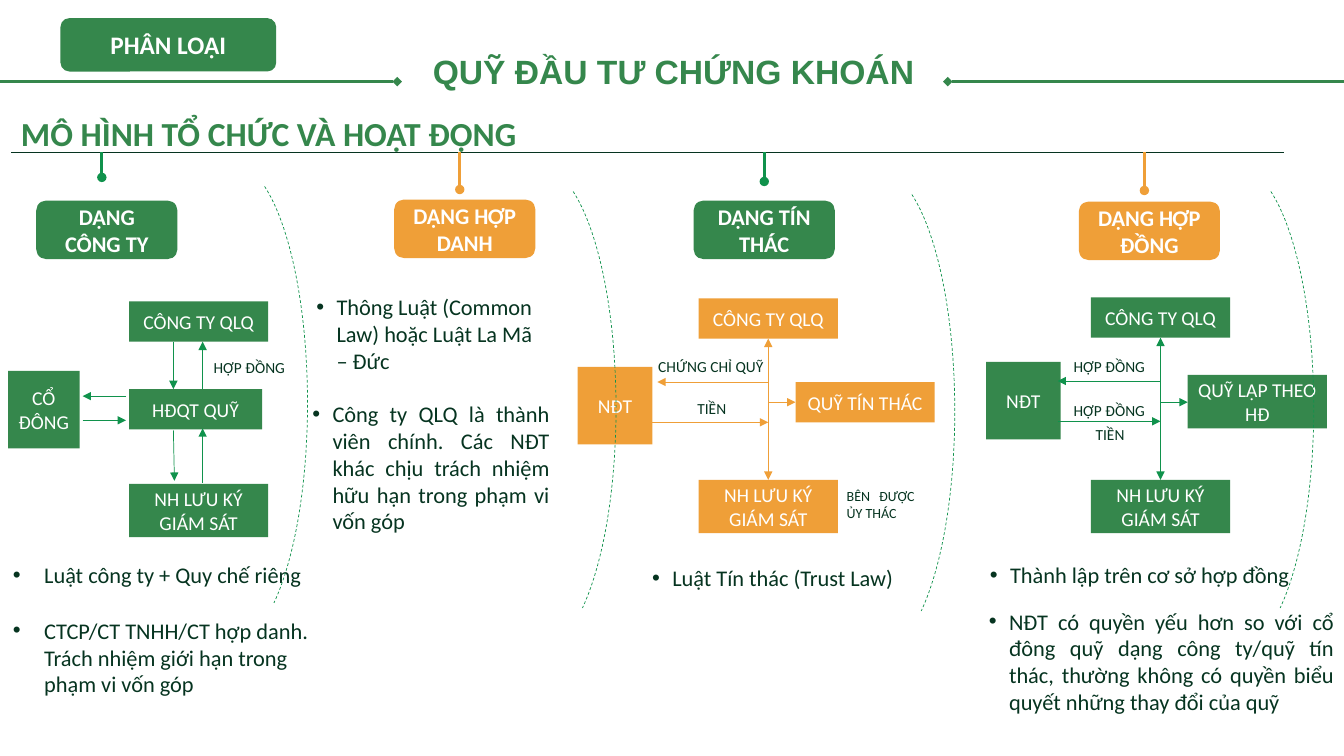
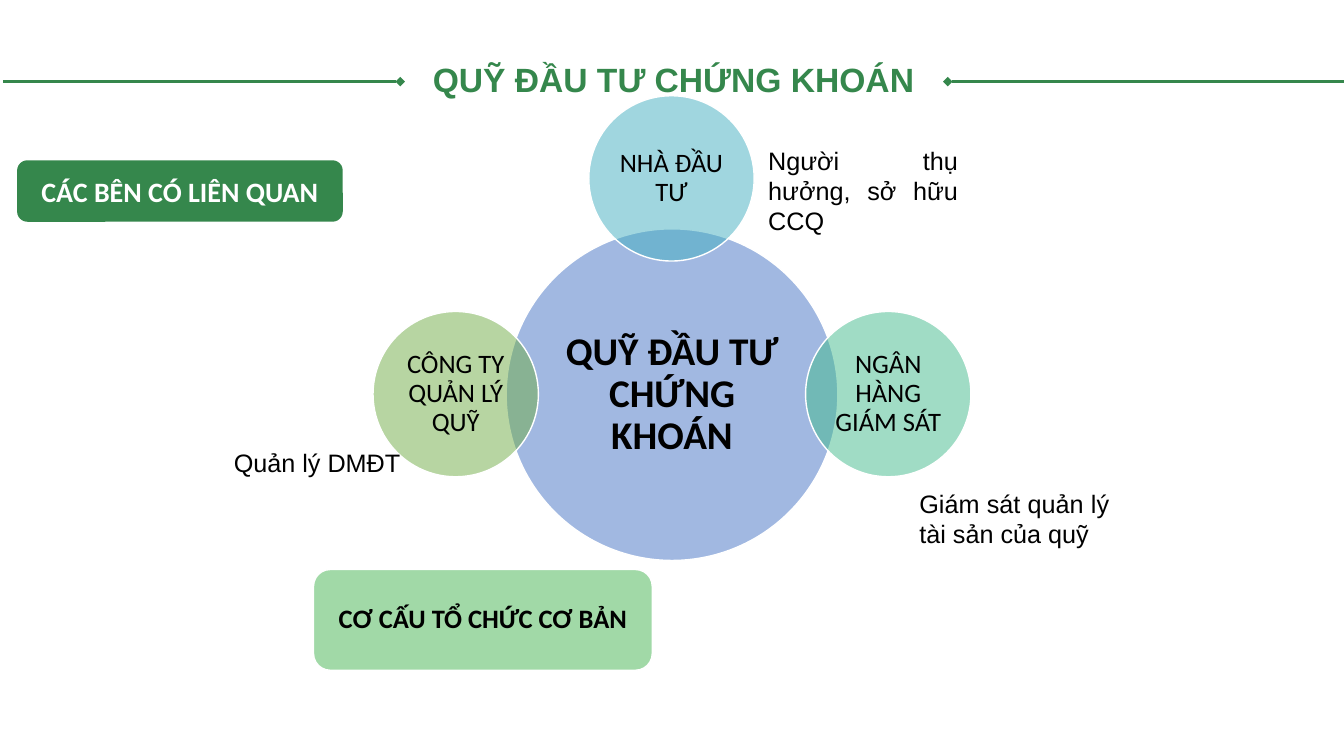
import dataclasses

import lxml.etree
import pptx
import pptx.dml.color
import pptx.enum.dml
import pptx.enum.shapes
import pptx.enum.text
import pptx.oxml.ns
import pptx.util

Inches = pptx.util.Inches
SHAPES = pptx.enum.shapes.MSO_SHAPE
ALIGN = pptx.enum.text.PP_ALIGN
ANCHOR = pptx.enum.text.MSO_ANCHOR
qn = pptx.oxml.ns.qn


@dataclasses.dataclass(frozen=True)
class Theme:
    green: str = "35874C"
    line_green: str = "10924C"
    orange: str = "EF9F38"
    ink: str = "063420"
    black: str = "000000"
    white: str = "FFFFFF"
    blue_circle: str = "4472C4"
    teal_circle: str = "43AFC0"
    mint_circle: str = "43BB8D"
    leaf_circle: str = "70AD47"
    grass_panel: str = "45B451"
    body_font: str = "Calibri"
    title_font: str = "Arial"
    hub: int = 28
    title: int = 24
    banner: int = 20
    circle: int = 19
    note: int = 18
    body: int = 16
    node: int = 14
    label: int = 11
    small: int = 10
    thick: float = 2.25
    thin: float = 0.5


class Deck:
    """Holds the theme, the presentation and the slide being built."""

    def __init__(self, theme):
        self.theme = theme
        self.presentation = pptx.Presentation()
        self.presentation.slide_width = Inches(13.33)
        self.presentation.slide_height = Inches(7.5)
        self.page = None

    def add_page(self, title_top, rule_left):
        theme = self.theme
        self.page = self.presentation.slides.add_slide(self.presentation.slide_layouts[6])
        self.line((9.4, 0.81), (13.33, 0.81), theme.green, theme.thick, head="diamond")
        self.line((rule_left, 0.81), (rule_left + 3.94, 0.81), theme.green, theme.thick, tail="diamond")
        self.text("QUỸ ĐẦU TƯ CHỨNG KHOÁN", (0, title_top, 13.36, 0.36), theme.title, theme.green,
                  bold=True, align=ALIGN.CENTER, font=theme.title_font, inset=0, spacing=0.9)

    def rgb(self, color):
        return pptx.dml.color.RGBColor.from_string(color)

    def fill_text(self, shape, text, size, color, bold=False, align=ALIGN.LEFT, font=None,
                  inset=None, spacing=None, hanging=None):
        frame = shape.text_frame
        frame.word_wrap = True
        if inset is not None:
            frame.margin_left = frame.margin_right = Inches(inset)
            frame.margin_top = frame.margin_bottom = Inches(inset)
        para = frame.paragraphs[0]
        if hanging:
            properties = para._p.get_or_add_pPr()
            properties.set("marL", str(Inches(0.31)))
            properties.set("indent", str(-Inches(hanging)))
            lxml.etree.SubElement(properties, qn("a:buFont"), typeface="Arial")
            lxml.etree.SubElement(properties, qn("a:buChar"), char="•")
        para.alignment = align
        if spacing:
            para.line_spacing = spacing
        span = para.add_run()
        span.text = text
        span.font.name = font or self.theme.body_font
        span.font.size = pptx.util.Pt(size)
        span.font.bold = bold
        span.font.color.rgb = self.rgb(color)

    def text(self, text, place, size, color, **style):
        box = self.page.shapes.add_textbox(*map(Inches, place))
        self.fill_text(box, text, size, color, **style)

    def bullet(self, text, place, hanging=0.2, align=ALIGN.LEFT):
        self.text(text, place, self.theme.body, self.theme.ink, hanging=hanging, align=align)

    def label(self, text, left, top, width=1.46, align=ALIGN.LEFT):
        self.text(text, (left, top, width, 0.29), self.theme.label, self.theme.ink, align=align)

    def shape(self, kind, place):
        shape = self.page.shapes.add_shape(kind, *map(Inches, place))
        shape.shadow.inherit = False
        return shape

    def block(self, text, place, fill, size, kind=SHAPES.RECTANGLE, color=None, **style):
        block = self.shape(kind, place)
        block.fill.solid()
        block.fill.fore_color.rgb = self.rgb(fill)
        block.line.fill.background()
        block.text_frame.vertical_anchor = ANCHOR.MIDDLE
        self.fill_text(block, text, size, color or self.theme.white, align=ALIGN.CENTER, **style)
        return block

    def node(self, text, place, fill):
        self.block(text, place, fill, self.theme.node)

    def badge(self, text, place, fill, size):
        self.block(text, place, fill, size, SHAPES.ROUNDED_RECTANGLE, bold=True)

    def glass(self, text, place, fill, size, kind=SHAPES.OVAL, bold=False):
        panel = self.block(text, place, fill, size, kind, self.theme.black,
                           bold=bold, inset=0.03, spacing=0.9)
        tint = panel.element.spPr.find(qn("a:solidFill")).find(qn("a:srgbClr"))
        lxml.etree.SubElement(tint, qn("a:alpha"), val="50000")
        panel.line.color.rgb = self.rgb(self.theme.white)
        panel.line.width = pptx.util.Pt(1)

    def line(self, start, end, color, width, head=None, tail=None):
        line = self.page.shapes.add_connector(
            pptx.enum.shapes.MSO_CONNECTOR.STRAIGHT, *map(Inches, start + end))
        line.line.color.rgb = self.rgb(color)
        line.line.width = pptx.util.Pt(width)
        properties = line.element.spPr
        outline = properties.find(qn("a:ln"))
        for tag, ending in (("a:headEnd", head), ("a:tailEnd", tail)):
            if ending:
                lxml.etree.SubElement(outline, qn(tag), type=ending)
        lxml.etree.SubElement(properties, qn("a:effectLst"))

    def arrow(self, start, end, color, head=None):
        self.line(start, end, color, self.theme.thin, head, "triangle")

    def arc(self, left, top):
        arc = self.shape(SHAPES.ARC, (left, top, 1.51, 4.78))
        arc.adjustments[0] = 167.227
        arc.adjustments[1] = 46.78
        arc.fill.background()
        arc.line.color.rgb = self.rgb(self.theme.line_green)
        arc.line.width = pptx.util.Pt(self.theme.thin)
        arc.line.dash_style = pptx.enum.dml.MSO_LINE.DASH

    def fund_diagram(self, left, top, investor, tips, fund, fund_box, fill, stroke):
        axis = left + 0.69
        self.node("CÔNG TY QLQ", (left, top, 1.38, 0.4), fill)
        self.node("NH LƯU KÝ GIÁM SÁT", (left, 4.76, 1.38, 0.53), fill)
        self.node("NĐT", investor + (0.74, 0.77), fill)
        self.node(fund, (left + 0.96,) + fund_box, fill)
        self.arrow((axis, top + 0.4), (axis, 4.76), stroke, head="triangle")
        self.arrow((axis, 3.99), (left + 0.96, 3.99), stroke)
        self.arrow((axis, top + 0.83), (tips[0], top + 0.83), stroke)
        self.arrow((tips[1], top + 1.23), (axis, top + 1.23), stroke)


def add_models(deck):
    theme = deck.theme
    deck.add_page(0.55, 0)
    deck.badge("PHÂN LOẠI", (0.6, 0.18, 2.14, 0.53), theme.green, theme.note)
    deck.text("MÔ HÌNH TỔ CHỨC VÀ HOẠT ĐỘNG", (0.11, 1.07, 5.6, 0.5), theme.title, theme.green, bold=True)
    deck.line((0.11, 1.51), (12.74, 1.51), theme.ink, theme.thin)

    for name, left, top, pin, pin_end, fill, stroke in (
        ("DẠNG CÔNG TY", 0.36, 1.99, 1.01, 1.76, theme.green, theme.line_green),
        ("DẠNG HỢP DANH", 3.91, 1.98, 4.56, 1.88, theme.orange, theme.orange),
        ("DẠNG TÍN THÁC", 6.88, 1.99, 7.58, 1.8, theme.green, theme.line_green),
        ("DẠNG HỢP ĐỒNG", 10.7, 2, 11.35, 1.89, theme.orange, theme.orange),
    ):
        deck.line((pin, 1.51), (pin, pin_end), stroke, theme.thick, tail="oval")
        deck.badge(name, (left, top, 1.4, 0.58), fill, theme.body)

    for name, place in (
        ("CÔNG TY QLQ", (1.28, 2.99, 1.38, 0.4)),
        ("HĐQT QUỸ", (1.28, 3.86, 1.32, 0.4)),
        ("NH LƯU KÝ GIÁM SÁT", (1.28, 4.8, 1.38, 0.53)),
        ("CỔ ĐÔNG", (0.08, 3.68, 0.71, 0.77)),
    ):
        deck.node(name, place, theme.green)
    for start, end in (
        ((1.72, 3.39), (1.72, 3.86)),
        ((1.72, 4.27), (1.73, 4.77)),
        ((2.01, 3.86), (2.01, 3.39)),
        ((2.01, 4.79), (2.01, 4.25)),
        ((1.25, 3.93), (0.82, 3.93)),
        ((0.82, 4.17), (1.25, 4.17)),
    ):
        deck.arrow(start, end, theme.line_green)
    deck.label("HỢP ĐỒNG", 2.02, 3.5, 1.11)

    deck.fund_diagram(6.93, 2.96, (5.73, 3.64), (6.52, 6.47), "QUỸ TÍN THÁC",
                      (3.79, 1.38, 0.4), theme.orange, theme.orange)
    deck.fund_diagram(10.82, 2.95, (9.78, 3.59), (10.49, 10.49), "QUỸ LẬP THEO HĐ",
                      (3.72, 1.38, 0.53), theme.green, theme.line_green)
    deck.label("CHỨNG CHỈ QUỸ", 6.43, 3.49)
    deck.label("TIỀN", 6.33, 3.91, align=ALIGN.CENTER)
    for top in (3.49, 3.93):
        deck.label("HỢP ĐỒNG", 10.55, top)
    deck.label("TIỀN", 10.28, 4.17, align=ALIGN.CENTER)
    deck.text("BÊN ĐƯỢC ỦY THÁC", (8.3, 4.79, 0.87, 0.44), theme.small, theme.ink, align=ALIGN.JUSTIFY)

    deck.bullet("Luật công ty + Quy chế riêng", (0.03, 5.52, 3.09, 0.37), 0.31)
    deck.bullet("CTCP/CT TNHH/CT hợp danh. Trách nhiệm giới hạn trong phạm vi vốn góp",
                (0.03, 6.07, 3.15, 0.91), 0.31)
    deck.bullet("Thông Luật (Common Law) hoặc Luật La Mã – Đức", (2.93, 2.86, 2.55, 0.91))
    deck.bullet("Công ty QLQ là thành viên chính. Các NĐT khác chịu trách nhiệm hữu hạn "
                "trong phạm vi vốn góp", (2.89, 3.92, 2.66, 1.45), align=ALIGN.JUSTIFY)
    deck.bullet("Luật Tín thác (Trust Law)", (6.26, 5.55, 3, 0.37))
    deck.bullet("Thành lập trên cơ sở hợp đồng", (9.61, 5.52, 3.49, 0.37))
    deck.bullet("NĐT có quyền yếu hơn so với cổ đông quỹ dạng công ty/quỹ tín thác, thường "
                "không có quyền biểu quyết những thay đổi của quỹ",
                (9.6, 5.98, 3.73, 1.18), align=ALIGN.JUSTIFY)

    for left, top in ((1.54, 1.61), (4.6, 1.66), (7.96, 1.69), (11.52, 1.66)):
        deck.arc(left, top)


def add_parties(deck):
    theme = deck.theme
    deck.add_page(0.63, 0.03)
    deck.badge("CÁC BÊN CÓ LIÊN QUAN", (0.17, 1.59, 3.23, 0.61), theme.green, theme.banner)
    deck.glass("QUỸ ĐẦU TƯ CHỨNG KHOÁN", (5.02, 2.27, 3.29, 3.29), theme.blue_circle, theme.hub, bold=True)
    for name, left, top, fill in (
        ("NHÀ ĐẦU TƯ", 5.84, 0.95, theme.teal_circle),
        ("NGÂN HÀNG GIÁM SÁT", 7.99, 3.09, theme.mint_circle),
        ("CÔNG TY QUẢN LÝ QUỸ", 3.7, 3.09, theme.leaf_circle),
    ):
        deck.glass(name, (left, top, 1.64, 1.64), fill, theme.circle)
    deck.glass("CƠ CẤU TỔ CHỨC CƠ BẢN", (3.11, 5.65, 3.36, 1), theme.grass_panel, theme.circle,
               SHAPES.ROUNDED_RECTANGLE, bold=True)
    for note, left, top, height in (
        ("Người thụ hưởng, sở hữu CCQ", 7.52, 1.39, 1.01),
        ("Quản lý DMĐT", 2.22, 4.39, 0.4),
        ("Giám sát quản lý tài sản của quỹ", 9.02, 4.79, 0.71),
    ):
        deck.text(note, (left, top, 2.08, height), theme.note, theme.black,
                  align=ALIGN.JUSTIFY, font=theme.title_font)


def main():
    deck = Deck(Theme())
    add_models(deck)
    add_parties(deck)
    deck.presentation.save("out.pptx")


if __name__ == "__main__":
    main()
